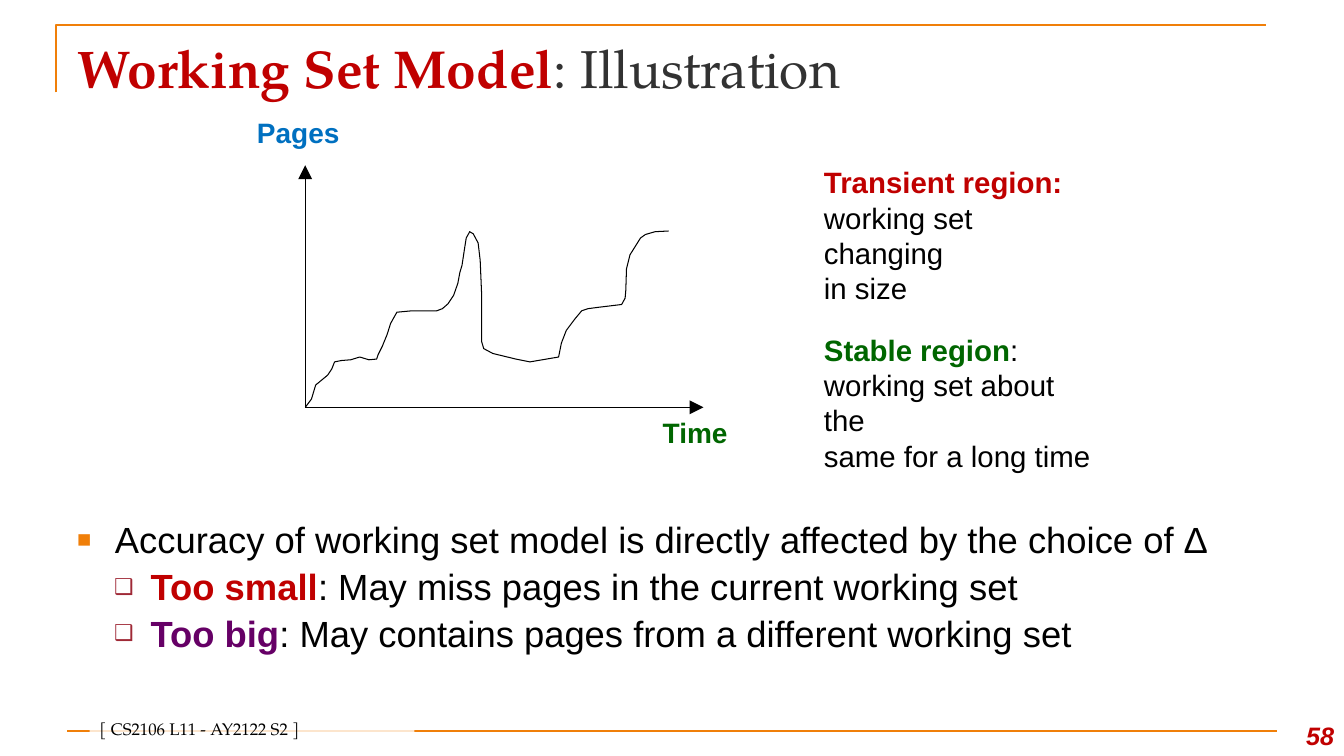
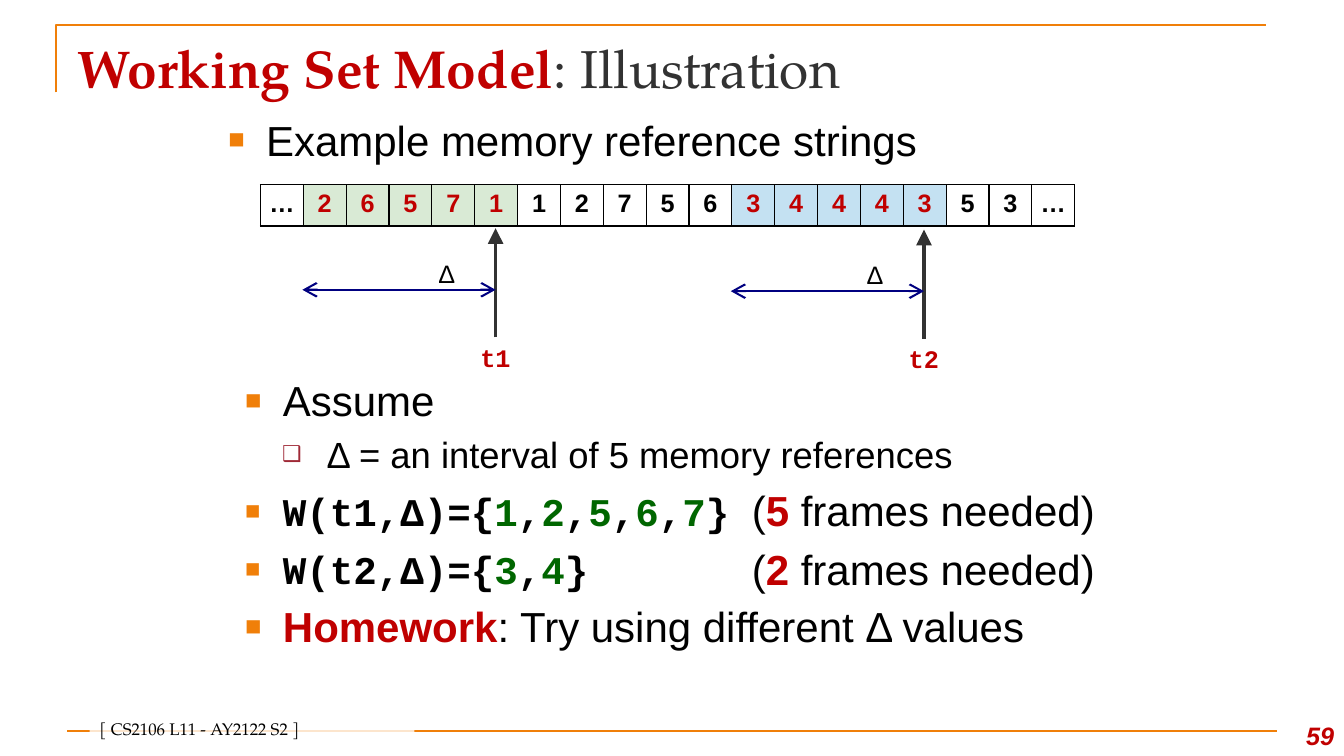
import pptx
import pptx.util
import pptx.dml.color
import pptx.enum.shapes
import pptx.enum.text
import pptx.oxml
import pptx.oxml.ns

Pt = pptx.util.Pt
ink = pptx.dml.color.RGBColor.from_string
ALIGN = pptx.enum.text.PP_ALIGN
ANCHOR = pptx.enum.text.MSO_ANCHOR
SHAPE = pptx.enum.shapes.MSO_SHAPE
NS = pptx.oxml.ns.nsdecls("a")

ORANGE, RED, GREEN, BLUE = "F07F09", "C00000", "006600", "0070C0"
BLACK, WHITE, GRAY, PURPLE, NAVY = "000000", "FFFFFF", "323232", "660066", "000080"
SANS, SERIF, MONO = "Arial", "TeX Gyre Pagella", "Courier New"

# level: bullet, bullet colour, bullet size, left margin, hanging indent
MARKS = {"main": ("■", ORANGE, 65, 27, 27), "sub": ("❑", "9F2936", 60, 52.5, 26)}


def write(frame, lines, size, font=SANS, align=ALIGN.LEFT, anchor=ANCHOR.TOP, space=1):
    """Fill a frame with lines of (level, space before, runs); a run is (text, colour, bold)."""
    frame.word_wrap = True
    frame.vertical_anchor = anchor
    for i, (level, gap, runs) in enumerate(lines):
        para = frame.add_paragraph() if i else frame.paragraphs[0]
        para.alignment = align
        para.space_before = Pt(gap)
        para.line_spacing = space
        if level:
            mark, color, scale, left, hang = MARKS[level]
            props = para._p.get_or_add_pPr()
            props.set("marL", str(Pt(left)))
            props.set("indent", str(-Pt(hang)))
            for xml in (f'<a:buClr {NS}><a:srgbClr val="{color}"/></a:buClr>',
                        f'<a:buSzPct {NS} val="{scale * 1000}"/>',
                        f'<a:buFont {NS} typeface="Arial"/>',
                        f'<a:buChar {NS} char="{mark}"/>'):
                props.append(pptx.oxml.parse_xml(xml))
        for words, color, bold, *style in runs:
            run = para.add_run()
            run.text = words
            run.font.size = Pt(style[0] if style else size)
            run.font.name = style[1] if style else font
            run.font.bold = bold
            run.font.color.rgb = ink(color)


def rule(slide, ends, color, width, head=None, tail=None):
    """Draw a straight line with optional arrowheads."""
    line = slide.shapes.add_connector(
        pptx.enum.shapes.MSO_CONNECTOR.STRAIGHT, *[Pt(n) for n in ends])
    line.line.color.rgb = ink(color)
    line.line.width = Pt(width)
    stroke = line.line._get_or_add_ln()
    for tag, kind in (("headEnd", head), ("tailEnd", tail)):
        if kind:
            stroke.append(pptx.oxml.parse_xml(
                f'<a:{tag} {NS} type="{kind}" w="lg" len="lg"/>'))
    line._element.spPr.append(pptx.oxml.parse_xml(f"<a:effectLst {NS}/>"))


deck = pptx.Presentation()
deck.slide_width, deck.slide_height = Pt(960), Pt(540)

# Frame, title and footer of both slides
for number in (58, 59):
    slide = deck.slides.add_slide(deck.slide_layouts[6])
    trace = slide.shapes.build_freeform(Pt(40), Pt(66))
    trace.add_line_segments([(Pt(40), Pt(18)), (Pt(904), Pt(18))], close=False)
    edge = trace.convert_to_shape()
    edge.shadow.inherit = False
    edge.fill.background()
    edge.line.color.rgb = ink(ORANGE)
    edge.line.width = Pt(1.5)
    rule(slide, (48, 522, 912, 522), ORANGE, 1.5)

    title = slide.shapes.add_textbox(Pt(48), Pt(20), Pt(864), Pt(56))
    write(title.text_frame,
          [("", 0, [("Working Set Model", RED, True), (": Illustration", GRAY, False)])],
          38, SERIF, anchor=ANCHOR.MIDDLE)

    band = slide.shapes.add_shape(SHAPE.RECTANGLE, Pt(64), Pt(513.5), Pt(232), Pt(18))
    band.shadow.inherit = False
    band.line.fill.background()
    band.fill.solid()
    band.fill.fore_color.rgb = ink(WHITE)
    shade = band._element.spPr.find(".//" + pptx.oxml.ns.qn("a:srgbClr"))
    shade.append(pptx.oxml.parse_xml(f'<a:alpha {NS} val="80000"/>'))
    write(band.text_frame, [("", 0, [("[ CS2106 L11 - AY2122 S2 ]", BLACK, False)])],
          12, SERIF, anchor=ANCHOR.BOTTOM)

    page = slide.shapes.add_textbox(Pt(904), Pt(504), Pt(56), Pt(36))
    write(page.text_frame, [("", 0, [(str(number), RED, True)])], 18,
          align=ALIGN.RIGHT, anchor=ANCHOR.BOTTOM)
    page.text_frame.paragraphs[0].runs[0].font.italic = True

graph, strings = deck.slides

# Slide 58: working set size over time
CURVE = [
    (218, 291), (222.5, 285), (225.5, 275), (234, 268), (237, 263.5), (239, 258.5),
    (244, 257.5), (250.5, 257), (257, 255), (263.5, 257), (269, 256.5), (270, 253.5),
    (273, 247.5), (276.5, 239), (279, 231), (283.5, 223), (294.5, 222), (312, 222),
    (316, 220.5), (320, 217), (324, 211), (327, 202.5), (328.5, 194.5), (330, 189.5),
    (332, 176.5), (333, 170), (335.5, 165.5), (338, 167), (341.5, 173.5), (343, 186),
    (344, 210), (344, 244), (345.5, 249), (352, 252.5), (368.5, 256.5), (378.5, 258.5),
    (399, 255), (401, 245), (404.5, 236), (410.5, 228), (415.5, 222), (420, 220.5),
    (427.5, 219.5), (444, 217.5), (446.5, 213), (447, 207.5), (447.5, 192), (450, 182),
    (455, 174), (457.5, 170), (461, 167.5), (468, 165.5), (477.5, 165)]
dots = [(Pt(x), Pt(y)) for x, y in CURVE]
trace = graph.shapes.build_freeform(*dots[0])
trace.add_line_segments(dots[1:], close=False)
curve = trace.convert_to_shape()
curve.shadow.inherit = False
curve.fill.background()
curve.line.color.rgb = ink(BLACK)
curve.line.width = Pt(0.75)

for end in ((218, 118), (502.5, 291)):
    rule(graph, (218, 291, *end), BLACK, 0.75, tail="triangle")
for words, color, left, top, width in (("Pages", BLUE, 153, 79, 120),
                                       ("Time", GREEN, 460, 293.5, 73)):
    label = graph.shapes.add_textbox(Pt(left), Pt(top), Pt(width), Pt(31))
    write(label.text_frame, [("", 0, [(words, color, True)])], 20, align=ALIGN.CENTER)

REGIONS = [
    (114, [("Transient region:", RED, True)], "working set changing", "in size"),
    (233.5, [("Stable region", GREEN, True), (":", BLACK, False)],
     "working set about the", "same for a long time")]
for top, name, *rest in REGIONS:
    note = graph.shapes.add_textbox(Pt(581.5), Pt(top), Pt(208), Pt(107))
    lines = [name] + [[(words, BLACK, False)] for words in rest]
    write(note.text_frame, [("", 0, runs) for runs in lines], 21)

body = graph.shapes.add_textbox(Pt(48), Pt(369.5), Pt(864), Pt(140))
write(body.text_frame, [
    ("main", 0, [("Accuracy of working set model is directly affected by the choice of Δ",
                  BLACK, False)]),
    ("sub", 5.3, [("Too small", RED, True),
                  (": May miss pages in the current working set", BLACK, False)]),
    ("sub", 5.3, [("Too big", PURPLE, True),
                  (": May contains pages from a different working set", BLACK, False)]),
], 26, space=0.9)

# Slide 59: reference string with two windows
head = strings.shapes.add_textbox(Pt(156), Pt(78), Pt(648), Pt(48))
write(head.text_frame, [("main", 0, [("Example memory reference strings", BLACK, False)])], 30)

REFS = "…26571127563444353…"
TINTS = {**dict.fromkeys(range(1, 6), "D9EAD5"), **dict.fromkeys(range(11, 16), "C4E1F2")}
STEP = 30.63
table = strings.shapes.add_table(
    1, len(REFS), Pt(186), Pt(132), Pt(STEP * len(REFS)), Pt(29.5)).table
table.first_row = table.horz_banding = False
table.rows[0].height = Pt(29.5)
for i, ref in enumerate(REFS):
    table.columns[i].width = Pt(STEP)
    cell = table.cell(0, i)
    cell.margin_left = cell.margin_right = 0
    props = cell._tc.get_or_add_tcPr()
    for side in "LRTB":
        props.append(pptx.oxml.parse_xml(
            f'<a:ln{side} {NS} w="{Pt(1)}"><a:solidFill><a:srgbClr val="{BLACK}"/>'
            f"</a:solidFill></a:ln{side}>"))
    if i in TINTS:
        cell.fill.solid()
        cell.fill.fore_color.rgb = ink(TINTS[i])
    else:
        cell.fill.background()
    write(cell.text_frame, [("", 0, [(ref, RED if i in TINTS else BLACK, True)])], 18,
          align=ALIGN.CENTER)

for name, x, top in (("t1", 354, 163), ("t2", 660, 164)):
    rule(strings, (x, top + 78, x, top), GRAY, 2.25, tail="triangle")
    rule(strings, (x - 138, top + 44, x, top + 44), NAVY, 1.5, "arrow", "arrow")
    for words, color, bold, font, left, drop, width in (
            (name, RED, True, MONO, x - 18, 78, 36),
            ("Δ", BLACK, False, SANS, x - 48, 18, 26)):
        label = strings.shapes.add_textbox(Pt(left), Pt(top + drop), Pt(width), Pt(29))
        write(label.text_frame, [("", 0, [(words, color, bold)])], 18, font)

sets, needs = [], []
for name, pages in (("t1", "12567"), ("t2", "34")):
    runs = [(f"W({name},Δ)={{", BLACK, True, 28, MONO)]
    for i, page in enumerate(pages):
        if i:
            runs.append((",", BLACK, True, 28, MONO))
        runs.append((page, GREEN, True, 28, MONO))
    runs.append(("}", BLACK, True, 28, MONO))
    sets.append(("main", 8, runs))
    needs.append(("", 6.5 if needs else 0, [
        ("(", BLACK, False), (str(len(pages)), RED, True), (" frames needed)", BLACK, False)]))

body = strings.shapes.add_textbox(Pt(168), Pt(264), Pt(636), Pt(231))
write(body.text_frame, [
    ("main", 0, [("Assume", BLACK, False)]),
    ("sub", 5.3, [(" Δ = an interval of 5 memory references", BLACK, False, 26, SANS)]),
    *sets,
    ("main", 6, [("Homework", RED, True), (": Try using different Δ values", BLACK, False)]),
], 30)
count = strings.shapes.add_textbox(Pt(530), Pt(342.5), Pt(274), Pt(85))
write(count.text_frame, needs, 30)

deck.save("out.pptx")
